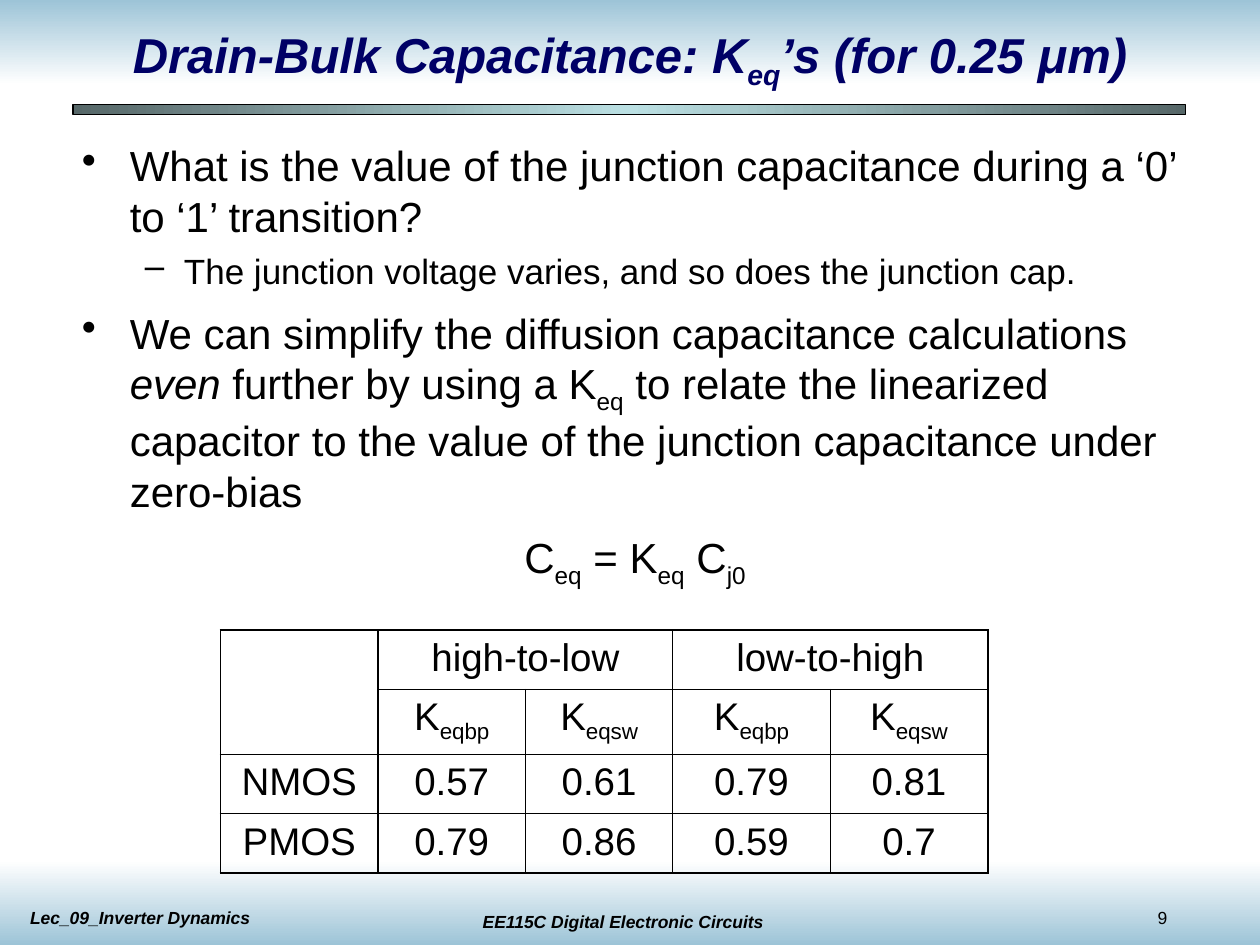
from dataclasses import dataclass

from lxml.etree import SubElement
from pptx import Presentation
from pptx.dml.color import RGBColor
from pptx.enum.shapes import MSO_SHAPE as Preset
from pptx.enum.text import MSO_ANCHOR as Anchor, PP_ALIGN as Align
from pptx.oxml.ns import qn
from pptx.util import Inches, Pt

BLACK, NAVY, SKY, WHITE = "000000", "000066", "9DC4D7", "FFFFFF"
SLATE, AQUA = "566768", "BBE0E3"
THIN, THICK = 0.45, 1.08


@dataclass
class Span:
    text: str
    italic: bool = False
    subscript: bool = False


@dataclass
class Item:
    spans: list
    bullet: str = ""
    level: int = 0
    size: float = 24
    before: float = 9
    left: float = 0.38
    hanging: float = 0.38
    align: Align = Align.LEFT


@dataclass
class Band:
    left: float
    top: float
    width: float
    height: float
    colors: list
    angle: int
    outline: str = ""


@dataclass
class Footer:
    text: str
    left: float
    top: float
    width: float
    emphasis: bool = True
    wrap: bool = True
    align: Align = Align.LEFT


def sub(text: str) -> Span:
    return Span(text, subscript=True)


EQ = sub("eq")
BANDS = [
    Band(0, 0, 10, 0.67, [SKY, WHITE], 90),
    Band(0, 6.83, 10, 0.67, [WHITE, SKY], 90),
    Band(0.58, 0.83, 8.83, 0.08, [SLATE, AQUA, SLATE], 180, BLACK),
]
FOOTERS = [
    Footer("EE115C Digital Electronic Circuits", 3.53, 7.18, 2.83, align=Align.CENTER),
    Footer("9", 9.09, 7.15, 0.83, emphasis=False, wrap=False),
    Footer("Lec_09_Inverter Dynamics", 0.14, 7.15, 2.83),
]
TITLE = [Span("Drain-Bulk Capacitance: K"), EQ, Span("’s (for 0.25 μm)")]
ITEMS = [
    Item([Span("What is the value of the junction capacitance during a ‘0’ to ‘1’ transition?")],
         "•", before=0),
    Item([Span("The junction voltage varies, and so does the junction cap.")],
         "–", level=1, size=20, before=5, left=0.81, hanging=0.31),
    Item([Span("We can simplify the diffusion capacitance calculations "), Span("even", italic=True),
          Span(" further by using a K"), EQ,
          Span(" to relate the linearized capacitor to the value of the junction "
               "capacitance under zero-bias")], "•"),
    Item([Span("C"), EQ, Span(" = K"), EQ, Span(" C"), sub("j0")], align=Align.CENTER),
]
COLUMNS = [1.25, 1.17, 1.17, 1.25, 1.25]
ROWS = [0.47, 0.52, 0.47, 0.47]
THICK_COLUMN_EDGES, THICK_ROW_EDGES = {0, 1, 5}, {0, 2, 4}
MERGES = [((0, 0), (1, 0)), ((0, 1), (0, 2)), ((0, 3), (0, 4))]
K_BOTTOM, K_SIDE = [Span("K"), sub("eqbp")], [Span("K"), sub("eqsw")]
CELLS = [
    ["", "high-to-low", "", "low-to-high", ""],
    ["", K_BOTTOM, K_SIDE, K_BOTTOM, K_SIDE],
    ["NMOS", "0.57", "0.61", "0.79", "0.81"],
    ["PMOS", "0.79", "0.86", "0.59", "0.7"],
]


def rgb(color: str) -> RGBColor:
    return RGBColor.from_string(color)


def add_solid(parent, color: str) -> None:
    SubElement(SubElement(parent, qn("a:solidFill")), qn("a:srgbClr"), val=color)


def write(para, content, *, size: float, color: str = BLACK, bold: bool = False,
          italic: bool = False, align: Align = Align.LEFT) -> None:
    para.alignment = align
    para.font.size = Pt(size)
    for part in [Span(content)] if isinstance(content, str) else content:
        span = para.add_run()
        span.text = part.text
        span.font.name, span.font.size = "Arial", Pt(size)
        span.font.bold, span.font.italic = bold, italic or part.italic
        span.font.color.rgb = rgb(color)
        if part.subscript:
            span._r.get_or_add_rPr().set("baseline", "-25000")


def add_text_box(page, left: float, top: float, width: float, height: float, *,
                 wrap: bool = True, anchor: Anchor = Anchor.TOP,
                 margins: tuple = (0.1, 0.05)):
    frame = page.shapes.add_textbox(
        Inches(left), Inches(top), Inches(width), Inches(height)).text_frame
    frame.word_wrap, frame.vertical_anchor = wrap, anchor
    frame.margin_left = frame.margin_right = Inches(margins[0])
    frame.margin_top = frame.margin_bottom = Inches(margins[1])
    return frame


def draw_band(page, band: Band) -> None:
    box = page.shapes.add_shape(Preset.RECTANGLE, Inches(band.left), Inches(band.top),
                                Inches(band.width), Inches(band.height))
    box.shadow.inherit = False
    box.fill.gradient()
    gradient = box._element.spPr.find(qn("a:gradFill"))
    stops = gradient.find(qn("a:gsLst"))
    stops.clear()
    for index, color in enumerate(band.colors):
        position = 100000 * index // (len(band.colors) - 1)
        stop = SubElement(stops, qn("a:gs"), pos=str(position))
        SubElement(stop, qn("a:srgbClr"), val=color)
    gradient.find(qn("a:lin")).set("ang", str(band.angle * 60000))
    if band.outline:
        box.line.color.rgb = rgb(band.outline)
        box.line.width = Pt(0.75)
    else:
        box.line.fill.background()


def draw_footer(page, footer: Footer) -> None:
    frame = add_text_box(page, footer.left, footer.top, footer.width, 0.27, wrap=footer.wrap)
    write(frame.paragraphs[0], footer.text, size=10, bold=footer.emphasis,
          italic=footer.emphasis, align=footer.align)


def draw_items(page, items: list) -> None:
    frame = add_text_box(page, 0.58, 1.08, 8.92, 3.62, margins=(0.07, 0.03))
    for index, item in enumerate(items):
        para = frame.add_paragraph() if index else frame.paragraphs[0]
        para.level, para.space_before = item.level, Pt(item.before)
        properties = para._p.get_or_add_pPr()
        properties.set("marL", str(Inches(item.left)))
        properties.set("indent", str(-Inches(item.hanging)))
        if item.bullet:
            SubElement(properties, qn("a:buChar"), char=item.bullet)
        else:
            SubElement(properties, qn("a:buNone"))
        write(para, item.spans, size=item.size, align=item.align)


def draw_borders(cell, row: int, column: int) -> None:
    bottom = row + (cell.span_height if cell.is_merge_origin else 1)
    right = column + (cell.span_width if cell.is_merge_origin else 1)
    edges = {"lnL": column in THICK_COLUMN_EDGES, "lnR": right in THICK_COLUMN_EDGES,
             "lnT": row in THICK_ROW_EDGES, "lnB": bottom in THICK_ROW_EDGES}
    properties = cell._tc.get_or_add_tcPr()
    for tag, thick in edges.items():
        border = SubElement(properties, qn(f"a:{tag}"), w=str(Pt(THICK if thick else THIN)))
        add_solid(border, BLACK)


def draw_table(page) -> None:
    table = page.shapes.add_table(len(ROWS), len(COLUMNS), Inches(1.75), Inches(5),
                                  Inches(sum(COLUMNS)), Inches(sum(ROWS))).table
    table.first_row = table.horz_banding = False
    for column, width in zip(table.columns, COLUMNS):
        column.width = Inches(width)
    for row, height in zip(table.rows, ROWS):
        row.height = Inches(height)
    for start, end in MERGES:
        table.cell(*start).merge(table.cell(*end))
    for row, contents in enumerate(CELLS):
        for column, content in enumerate(contents):
            cell = table.cell(row, column)
            draw_borders(cell, row, column)
            cell.fill.background()
            if content:
                write(cell.text_frame.paragraphs[0], content, size=22, align=Align.CENTER)


def main() -> None:
    """Build the drain-bulk capacitance slide."""
    deck = Presentation()
    deck.slide_width, deck.slide_height = Inches(10), Inches(7.5)
    page = deck.slides.add_slide(deck.slide_layouts[6])
    for band in BANDS:
        draw_band(page, band)
    for footer in FOOTERS:
        draw_footer(page, footer)
    title = add_text_box(page, 0.75, 0.17, 8.5, 0.58, anchor=Anchor.MIDDLE)
    write(title.paragraphs[0], TITLE, size=28, color=NAVY, bold=True, italic=True,
          align=Align.CENTER)
    draw_table(page)
    draw_items(page, ITEMS)
    deck.save("out.pptx")


if __name__ == "__main__":
    main()
